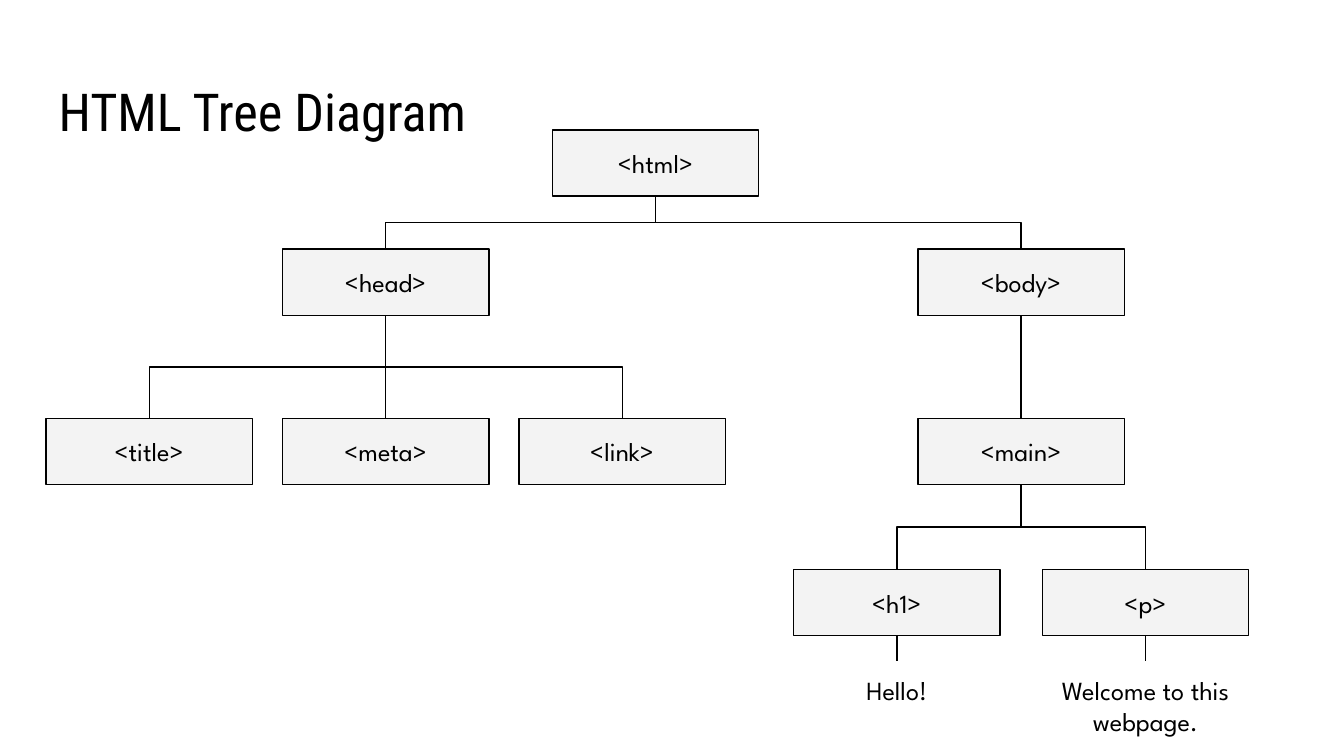
from lxml import etree
from pptx import Presentation
from pptx import util as u
from pptx.dml.color import RGBColor
from pptx.enum import shapes, text
from pptx.oxml import ns

COLOURS = {"ink": "000000", "node": "F3F3F3"}
NODE_WIDTH, NODE_HEIGHT = 3.9, 1.25
LABEL_TOP = 12.5
HEAD_X, BODY_X = 7.29, 19.3
HEAD_STEP, MAIN_STEP = 4.47, 2.35
ROWS = [2.46, 4.71, 7.91, 10.77]

NODES = {
    "<html>": (12.39, ROWS[0], None),
    "<head>": (HEAD_X, ROWS[1], "<html>"),
    "<body>": (BODY_X, ROWS[1], "<html>"),
    "<title>": (HEAD_X - HEAD_STEP, ROWS[2], "<head>"),
    "<meta>": (HEAD_X, ROWS[2], "<head>"),
    "<link>": (HEAD_X + HEAD_STEP, ROWS[2], "<head>"),
    "<main>": (BODY_X, ROWS[2], "<body>"),
    "<h1>": (BODY_X - MAIN_STEP, ROWS[3], "<main>"),
    "<p>": (BODY_X + MAIN_STEP, ROWS[3], "<main>"),
}
LABELS = {"<h1>": "Hello!", "<p>": "Welcome to this webpage."}

deck = Presentation()
deck.slide_width, deck.slide_height = u.Cm(25.4), u.Cm(14.29)
page = deck.slides.add_slide(deck.slide_layouts[6])


def write(box, words, font, size, align, anchor):
    frame = box.text_frame
    frame.word_wrap = True
    frame.vertical_anchor = anchor
    frame.margin_left = frame.margin_right = u.Cm(0.25)
    frame.margin_top = frame.margin_bottom = u.Cm(0.25)
    para = frame.paragraphs[0]
    para.alignment = align
    span = para.add_run()
    span.text = words
    span.font.name = font
    span.font.size = u.Pt(size)
    span.font.color.rgb = RGBColor.from_string(COLOURS["ink"])


def connect(kind, *ends):
    line = page.shapes.add_connector(kind, *[u.Cm(end) for end in ends])
    line.line.color.rgb = RGBColor.from_string(COLOURS["ink"])
    line.line.width = u.Pt(0.75)
    etree.SubElement(line._element.spPr, ns.qn("a:effectLst"))
    return line


for name, (x, top, parent) in NODES.items():
    if parent:
        parent_x, parent_top, _ = NODES[parent]
        start = parent_top + NODE_HEIGHT
        middle_x, middle_y = (parent_x + x) / 2, (start + top) / 2
        half_drop, half_spread = (top - start) / 2, abs(x - parent_x) / 2
        side = -1 if x < parent_x else 1
        elbow = connect(
            shapes.MSO_CONNECTOR.ELBOW,
            middle_x + side * half_drop, middle_y - half_spread,
            middle_x - side * half_drop, middle_y + half_spread,
        )
        quarter_turns = 1 if side < 0 else 3
        elbow._element.spPr.xfrm.set("rot", str(quarter_turns * 5400000))

    left = x - NODE_WIDTH / 2
    node = page.shapes.add_shape(
        shapes.MSO_SHAPE.RECTANGLE,
        u.Cm(left), u.Cm(top), u.Cm(NODE_WIDTH), u.Cm(NODE_HEIGHT),
    )
    node.shadow.inherit = False
    node.fill.solid()
    node.fill.fore_color.rgb = RGBColor.from_string(COLOURS["node"])
    node.line.color.rgb = RGBColor.from_string(COLOURS["ink"])
    node.line.width = u.Pt(0.75)
    write(node, name, "League Spartan", 14, text.PP_ALIGN.CENTER, text.MSO_ANCHOR.MIDDLE)

    if name in LABELS:
        connect(shapes.MSO_CONNECTOR.STRAIGHT, x, top + NODE_HEIGHT, x, LABEL_TOP)
        label = page.shapes.add_textbox(
            u.Cm(left), u.Cm(LABEL_TOP), u.Cm(NODE_WIDTH), u.Cm(1.14)
        )
        write(label, LABELS[name], "League Spartan", 14, text.PP_ALIGN.CENTER, text.MSO_ANCHOR.TOP)

title = page.shapes.add_textbox(u.Cm(0.86), u.Cm(1.24), u.Cm(23.67), u.Cm(1.6))
write(title, "HTML Tree Diagram", "Roboto Condensed", 28, text.PP_ALIGN.LEFT, text.MSO_ANCHOR.TOP)

deck.save("out.pptx")
